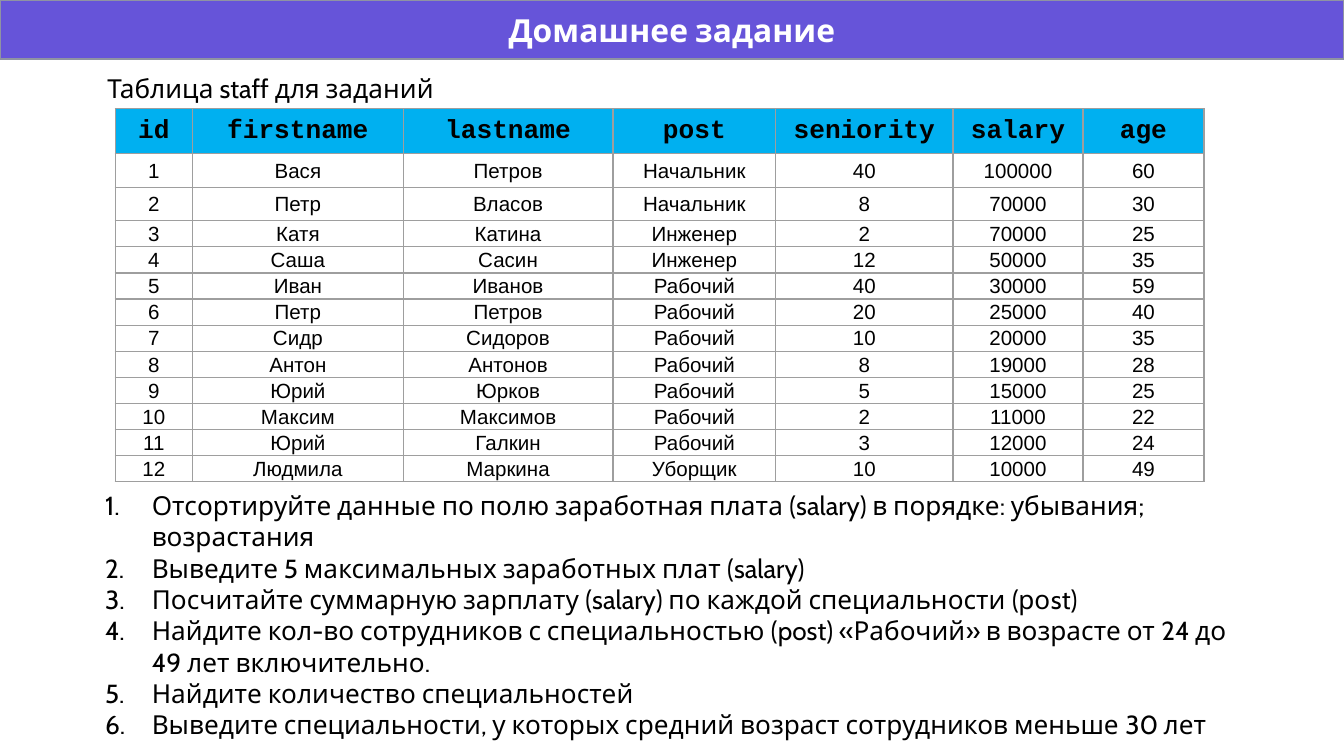
import pptx
import pptx.dml.color
import pptx.enum.shapes
import pptx.enum.text
import pptx.oxml
import pptx.oxml.ns
import pptx.util

Pt = pptx.util.Pt
RGB = pptx.dml.color.RGBColor.from_string
ALIGN = pptx.enum.text.PP_ALIGN
MIDDLE = pptx.enum.text.MSO_ANCHOR.MIDDLE
NS = pptx.oxml.ns.nsdecls("a")

THEME = {
    "banner": "6654D9", "banner_line": "8F93A3", "header": "00B0F0",
    "grid": "9E9E9E", "ink": "000000",
    "title": {"name": "Cabin", "size": Pt(17), "bold": True, "color": "FFFFFF"},
    "body": {"name": "Cabin", "size": Pt(14), "bold": False, "color": "000000"},
    "column": {"name": "Courier New", "size": Pt(14), "bold": True, "color": "000000"},
    "value": {"name": "Arial", "size": Pt(11), "bold": False, "color": "000000"},
}
BOX = {"margin_left": Pt(7.2), "margin_right": Pt(7.2),
       "margin_top": Pt(7.2), "margin_bottom": Pt(7.2), "word_wrap": True}
GROWING = {**BOX, "auto_size": pptx.enum.text.MSO_AUTO_SIZE.SHAPE_TO_FIT_TEXT}
CELL = {"margin_left": Pt(0.72), "margin_right": Pt(0.72),
        "margin_top": Pt(0.72), "margin_bottom": Pt(0), "vertical_anchor": MIDDLE}


def apply(target, values):
    for key, value in values.items():
        setattr(target, key, value)


def write(paragraph, text, style, align=ALIGN.LEFT):
    paragraph.alignment = align
    run = paragraph.add_run()
    run.text = text
    apply(run.font, {key: style[key] for key in ("name", "size", "bold")})
    run.font.color.rgb = RGB(style["color"])


deck = pptx.Presentation()
apply(deck, {"slide_width": Pt(720), "slide_height": Pt(405)})
slide = deck.slides.add_slide(deck.slide_layouts[6])

# Title banner
banner = slide.shapes.add_shape(
    pptx.enum.shapes.MSO_SHAPE.RECTANGLE, Pt(0), Pt(0), Pt(720), Pt(31.7))
banner.shadow.inherit = False
banner.fill.solid()
banner.fill.fore_color.rgb = RGB(THEME["banner"])
banner.line.color.rgb = RGB(THEME["banner_line"])
banner.line.width = Pt(0.75)
apply(banner.text_frame, {**BOX, "vertical_anchor": MIDDLE})
write(banner.text_frame.paragraphs[0], "Домашнее задание", THEME["title"], ALIGN.CENTER)

# Table caption
caption = slide.shapes.add_textbox(Pt(50.4), Pt(31.7), Pt(458.6), Pt(31.7)).text_frame
apply(caption, GROWING)
write(caption.paragraphs[0], "Таблица staff для заданий", THEME["body"])

# Numbered tasks
tasks = [
    "Отсортируйте данные по полю заработная плата (salary) в порядке: убывания; возрастания",
    "Выведите 5 максимальных заработных плат (salary)",
    "Посчитайте суммарную зарплату (salary) по каждой специальности (роst)",
    "Найдите кол-во сотрудников с специальностью (post) «Рабочий» в возрасте от 24 до 49 лет включительно.",
    "Найдите количество специальностей",
    "Выведите специальности, у которых средний возраст сотрудников меньше 30 лет",
]
task_list = slide.shapes.add_textbox(Pt(38.2), Pt(254.9), Pt(630), Pt(150.5)).text_frame
apply(task_list, GROWING)
for number, task in enumerate(tasks):
    item = task_list.add_paragraph() if number else task_list.paragraphs[0]
    write(item, task, THEME["body"])
    numbering = item._p.get_or_add_pPr()
    numbering.set("marL", str(Pt(36)))
    numbering.set("indent", str(-Pt(25)))
    for bullet in (f'<a:buClr {NS}><a:srgbClr val="{THEME["ink"]}"/></a:buClr>',
                   f'<a:buSzPct {NS} val="100000"/>',
                   f'<a:buFont {NS} typeface="{THEME["body"]["name"]}"/>',
                   f'<a:buAutoNum {NS} type="arabicPeriod"/>'):
        numbering.append(pptx.oxml.parse_xml(bullet))

# Staff table
staff = [
    ("id", "firstname", "lastname", "post", "seniority", "salary", "age"),
    (1, "Вася", "Петров", "Начальник", 40, 100000, 60),
    (2, "Петр", "Власов", "Начальник", 8, 70000, 30),
    (3, "Катя", "Катина", "Инженер", 2, 70000, 25),
    (4, "Саша", "Сасин", "Инженер", 12, 50000, 35),
    (5, "Иван", "Иванов", "Рабочий", 40, 30000, 59),
    (6, "Петр", "Петров", "Рабочий", 20, 25000, 40),
    (7, "Сидр", "Сидоров", "Рабочий", 10, 20000, 35),
    (8, "Антон", "Антонов", "Рабочий", 8, 19000, 28),
    (9, "Юрий", "Юрков", "Рабочий", 5, 15000, 25),
    (10, "Максим", "Максимов", "Рабочий", 2, 11000, 22),
    (11, "Юрий", "Галкин", "Рабочий", 3, 12000, 24),
    (12, "Людмила", "Маркина", "Уборщик", 10, 10000, 49),
]
column_widths = [41.5, 112.8, 112.4, 87.2, 95, 69.6, 64.8]
row_heights = [24, 18, 18] + [14] * 10
staff_table = slide.shapes.add_table(
    len(staff), len(column_widths), Pt(61.7), Pt(58.3),
    Pt(sum(column_widths)), Pt(sum(row_heights))).table
apply(staff_table, {"first_row": False, "horz_banding": False})
for column, width in zip(staff_table.columns, column_widths):
    column.width = Pt(width)
for row, height, record in zip(staff_table.rows, row_heights, staff):
    row.height = Pt(height)
    is_header = record is staff[0]
    for cell, value in zip(row.cells, record):
        apply(cell, CELL)
        write(cell.text_frame.paragraphs[0], str(value),
              THEME["column" if is_header else "value"], ALIGN.CENTER)
        borders = cell._tc.get_or_add_tcPr()
        for side in ("lnL", "lnR", "lnT", "lnB"):
            borders.append(pptx.oxml.parse_xml(
                f'<a:{side} {NS} w="{Pt(0.75)}"><a:solidFill>'
                f'<a:srgbClr val="{THEME["grid"]}"/></a:solidFill></a:{side}>'))
        if is_header:
            cell.fill.solid()
            cell.fill.fore_color.rgb = RGB(THEME["header"])
        else:
            cell.fill.background()

deck.save("out.pptx")
